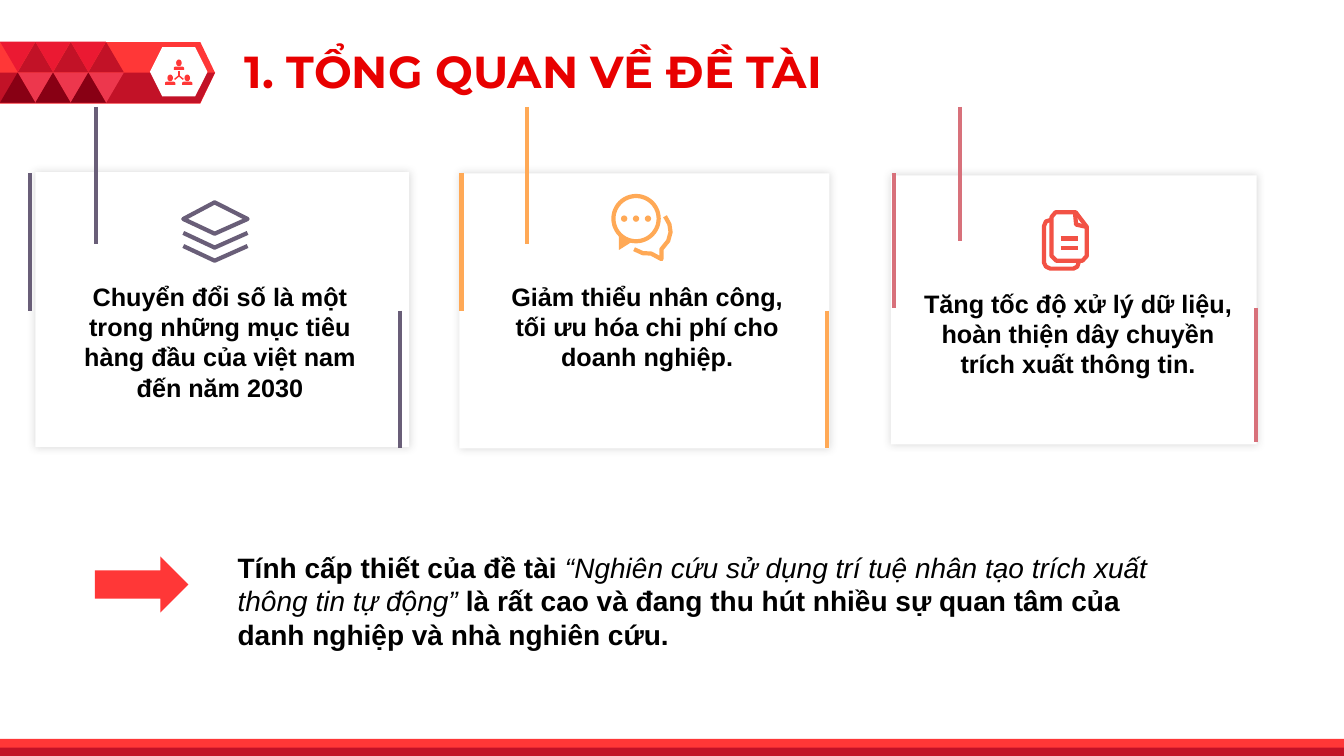
from lxml.etree import SubElement
from pptx import Presentation
from pptx.dml.color import RGBColor
from pptx.enum.shapes import MSO_CONNECTOR, MSO_SHAPE as Preset
from pptx.enum.text import MSO_AUTO_SIZE, PP_ALIGN as Align
from pptx.oxml.ns import qn
from pptx.util import Cm, Pt

RED, DARK_RED, WHITE = "FF3737", "C21227", "FFFFFF"
SLATE, ORANGE, ROSE, CORAL = "695E78", "FFA956", "D8717B", "F25245"


def rgb(code):
    return RGBColor.from_string(code)


def style(shape, fill=None, line=None, width=3):
    shape.shadow.inherit = False
    if fill:
        shape.fill.solid()
        shape.fill.fore_color.rgb = rgb(fill)
    else:
        shape.fill.background()
    if line:
        shape.line.color.rgb = rgb(line)
        shape.line.width = Pt(width)
    else:
        shape.line.fill.background()


def add_preset(slide, kind, box, fill=None, line=None, rotation=0, adjust=None):
    shape = slide.shapes.add_shape(kind, *map(Cm, box))
    style(shape, fill, line)
    shape.rotation = rotation
    if adjust is not None:
        shape.adjustments[0] = adjust
    return shape


def add_outline(slide, points, fill=None, line=None, width=3, close=True):
    corners = [(Cm(x), Cm(y)) for x, y in points]
    builder = slide.shapes.build_freeform(*corners[0])
    builder.add_line_segments(corners[1:], close=close)
    style(builder.convert_to_shape(), fill, line, width)


def add_line(slide, start, end, color, width=3):
    line = slide.shapes.add_connector(MSO_CONNECTOR.STRAIGHT, *map(Cm, start + end))
    line.line.color.rgb = rgb(color)
    line.line.width = Pt(width)
    SubElement(line._element.spPr, qn("a:effectLst"))


def add_circle(slide, x, y, radius, **look):
    add_preset(slide, Preset.OVAL, (x - radius, y - radius, 2 * radius, 2 * radius), **look)


def add_text(slide, box, *runs, size=18, font="Arial", color="000000", align=Align.LEFT):
    """Each run is a pair of its text and whether it is italic; upright runs are bold."""
    frame = slide.shapes.add_textbox(*map(Cm, box)).text_frame
    frame.word_wrap = True
    frame.auto_size = MSO_AUTO_SIZE.SHAPE_TO_FIT_TEXT
    paragraph = frame.paragraphs[0]
    paragraph.alignment = align
    for words, italic in runs:
        run = paragraph.add_run()
        run.text = words
        run.font.size = Pt(size)
        run.font.name = font
        run.font.color.rgb = rgb(color)
        run.font.italic = italic
        run.font.bold = not italic


def add_soft_shadow(shape):
    effects = shape._element.spPr.find(qn("a:effectLst"))
    shadow = SubElement(effects, qn("a:outerShdw"), blurRad=str(Pt(6)), dist="0",
                        algn="ctr", rotWithShape="0")
    tint = SubElement(shadow, qn("a:srgbClr"), val="3F3F3F")
    SubElement(tint, qn("a:alpha"), val="20000")


def draw_team_icon(slide):
    for x, top in ((4.51, 1.5), (4.29, 1.88), (4.72, 1.88)):
        add_preset(slide, Preset.OVAL, (x - 0.07, top, 0.14, 0.17), RED)
        add_preset(slide, Preset.ROUND_2_SAME_RECTANGLE, (x - 0.13, top + 0.18, 0.26, 0.08),
                   RED, adjust=0.5)
    for end in ((4.51, 1.8), (4.4, 2), (4.62, 2)):
        add_line(slide, (4.51, 1.91), end, RED, width=1)


def draw_banner(slide):
    add_preset(slide, Preset.PENTAGON, (0, 1.06, 5.42, 1.55), RED, adjust=0.239)
    add_outline(slide, [(0, 1.83), (5.42, 1.83), (5.04, 2.6), (0, 2.6)], DARK_RED)
    add_preset(slide, Preset.HEXAGON, (3.78, 1.19, 1.45, 1.24), WHITE, adjust=0.25)
    draw_team_icon(slide)
    facets = ((0, 1.05, 180, "EB1932"), (0.45, 1.06, 0, DARK_RED),
              (0.45, 1.83, 180, "ED374D"), (0, 1.83, 0, "880014"))
    for column in range(3):
        for x, y, turn, color in facets:
            add_preset(slide, Preset.ISOSCELES_TRIANGLE, (x + column * 0.89, y, 0.89, 0.76),
                       color, rotation=turn)


def draw_footer(slide):
    add_preset(slide, Preset.RECTANGLE, (0, 18.62, 33.87, 0.41), RED)
    add_preset(slide, Preset.RECTANGLE, (0, 18.84, 33.87, 0.21), DARK_RED)


def draw_layers_icon(slide):
    left, middle, right = 4.62, 5.41, 6.24
    add_outline(slide, [(left, 5.52), (middle, 5.1), (right, 5.52), (middle, 5.89)], line=SLATE)
    for y in (5.87, 6.2):
        add_outline(slide, [(left, y), (middle, y + 0.37), (right, y)], line=SLATE, close=False)


def draw_chat_icon(slide):
    add_outline(slide, [(16.76, 5.45), (16.87, 5.65), (16.9, 5.85), (16.84, 6.07),
                        (16.67, 6.28), (16.67, 6.53), (16.41, 6.39), (16.2, 6.38),
                        (15.98, 6.28)], line=ORANGE, close=False)
    add_outline(slide, [(15.6, 5.9), (15.6, 6.3), (15.98, 6.06)], ORANGE)
    add_circle(slide, 16.03, 5.51, 0.57, fill=WHITE, line=ORANGE)
    for step in (-1, 0, 1):
        add_circle(slide, 16.03 + step * 0.3, 5.51, 0.08, fill=ORANGE)


def draw_documents_icon(slide):
    add_outline(slide, [(26.49, 5.54), (26.36, 5.58), (26.31, 5.7), (26.31, 6.62),
                        (26.36, 6.72), (26.47, 6.77), (27.05, 6.77), (27.15, 6.72),
                        (27.19, 6.6)], line=CORAL, close=False)
    add_outline(slide, [(26.6, 5.35), (27.11, 5.35), (27.39, 5.72), (27.39, 6.45),
                        (27.28, 6.57), (26.62, 6.57), (26.5, 6.45), (26.5, 5.47)], line=CORAL)
    add_outline(slide, [(27.09, 5.35), (27.12, 5.66), (27.39, 5.72)], line=CORAL, close=False)
    for y in (6.01, 6.25):
        add_line(slide, (26.73, y), (27.17, y), CORAL)


def draw_card(slide, box, rails, color, draw_icon, text_box, words):
    """Rails hold the left edge, the right edge and the length of the accent lines."""
    left, right, length = rails
    add_soft_shadow(add_preset(slide, Preset.RECTANGLE, box, WHITE))
    for x, top in ((left, 4.37), (left + 1.66, 2.69), (right, 4.37 + length)):
        add_line(slide, (x, top), (x, top + length), color)
    draw_icon(slide)
    add_text(slide, text_box, (words, False), align=Align.CENTER)


def draw_conclusion(slide):
    add_preset(slide, Preset.RIGHT_ARROW, (2.39, 14.02, 2.36, 1.42), RED)
    add_text(slide, (5.74, 13.74, 23.7, 2.82),
             ("Tính cấp thiết của đề tài ", False),
             ("“Nghiên cứu sử dụng trí tuệ nhân tạo trích xuất thông tin tự động” ", True),
             ("là rất cao và đang thu hút nhiều sự quan tâm của danh nghiệp "
              "và nhà nghiên cứu.", False), size=20)


def main():
    deck = Presentation()
    deck.slide_width, deck.slide_height = Cm(33.87), Cm(19.05)
    slide = deck.slides.add_slide(deck.slide_layouts[6])
    draw_banner(slide)
    draw_footer(slide)
    add_text(slide, (5.92, 0.97, 25.43, 1.63), ("1. TỔNG QUAN VỀ ĐỀ TÀI", False),
             size=32, font="Montserrat", color="E80000")
    draw_card(slide, (0.89, 4.34, 9.42, 6.93), (0.76, 10.08, 3.46), SLATE, draw_layers_icon,
              (1.47, 6.96, 8.15, 3.33),
              "Chuyển đổi số là một trong những mục tiêu hàng đầu của việt nam đến năm 2030")
    draw_card(slide, (11.58, 4.37, 9.32, 6.93), (11.63, 20.85, 3.46), ORANGE, draw_chat_icon,
              (12.27, 6.96, 8.08, 2.57),
              "Giảm thiểu nhân công, tối ưu hóa chi phí cho doanh nghiệp.")
    draw_card(slide, (22.45, 4.42, 9.22, 6.78), (22.53, 31.65, 3.39), ROSE, draw_documents_icon,
              (22.71, 7.14, 8.92, 2.57),
              "Tăng tốc độ xử lý dữ liệu, hoàn thiện dây chuyền trích xuất thông tin.")
    draw_conclusion(slide)
    deck.save("out.pptx")


if __name__ == "__main__":
    main()
